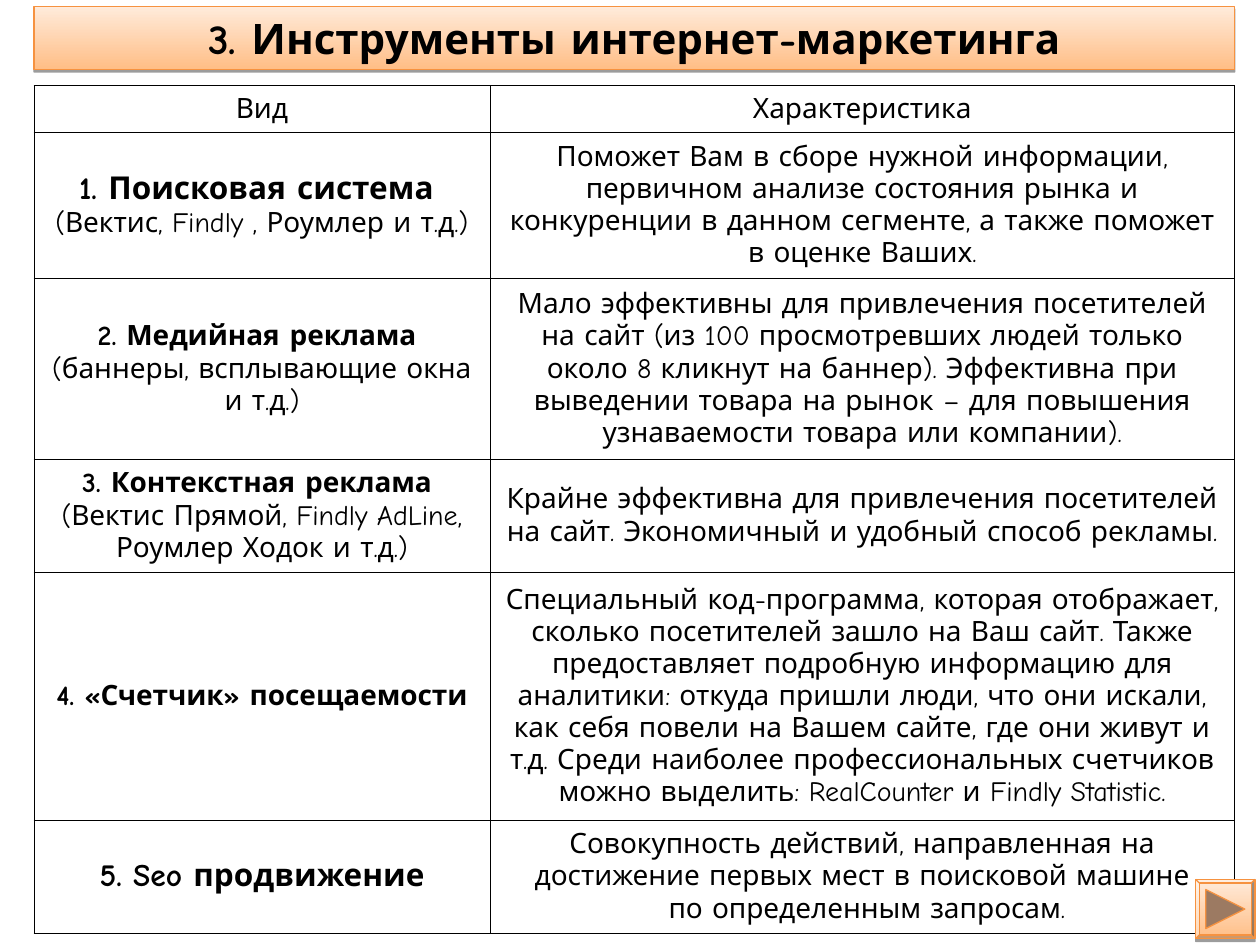
import dataclasses

import lxml.etree
import pptx
import pptx.dml.color
import pptx.enum.shapes
import pptx.enum.text
import pptx.oxml.ns
import pptx.util

SHAPE = pptx.enum.shapes.MSO_SHAPE
CENTER = pptx.enum.text.PP_ALIGN.CENTER
ANCHOR = pptx.enum.text.MSO_ANCHOR
qn = pptx.oxml.ns.qn


@dataclasses.dataclass(frozen=True)
class Theme:
    """Hold the colours, font and type sizes."""
    font: str = "Comic Neue"
    ink: str = "000000"
    deep: str = "FFBE86"
    pale: str = "FFEBDB"
    edge: str = "F69240"
    icon: str = "9C7A62"
    title: int = 24
    head: int = 18
    body: int = 16
    line: float = 0.75
    rule: float = 0.45
    drop: float = 1.6


THEME = Theme()
GRID = pptx.util.Inches(0.1)
TITLE = "3. Инструменты интернет-маркетинга"
COLS = (36.2, 59.1)
ROWS = (3.7, 11.6, 14.3, 9, 19.6, 9)
BODY, BOLD, HEAD = (THEME.body, False), (THEME.body, True), (THEME.head, True)
CELLS = (
    ([("Вид", BODY)], [("Характеристика", BODY)]),
    ([("1. Поисковая система ", HEAD),
      ("(Вектис, Findly , Роумлер и т.д.)", BODY)],
     [("Поможет Вам в сборе нужной информации, первичном анализе состояния "
       "рынка и конкуренции в данном сегменте, а также поможет в оценке "
       "Ваших.", BODY)]),
    ([("2. Медийная реклама ", BOLD),
      ("(баннеры, всплывающие окна и т.д.)", BODY)],
     [("Мало эффективны для привлечения посетителей на сайт (из 100 "
       "просмотревших людей только около 8 кликнут на баннер). Эффективна "
       "при выведении товара на рынок – для повышения узнаваемости товара "
       "или компании).", BODY)]),
    ([("3. Контекстная реклама ", BOLD),
      ("(Вектис Прямой, Findly AdLine, Роумлер Ходок и т.д.)", BODY)],
     [("Крайне эффективна для привлечения посетителей на сайт. Экономичный "
       "и удобный способ рекламы. ", BODY)]),
    ([("4. «Счетчик» посещаемости", BOLD)],
     [("Специальный код-программа, которая отображает, сколько посетителей "
       "зашло на Ваш сайт. Также предоставляет подробную информацию для "
       "аналитики: откуда пришли люди, что они искали, как себя повели на "
       "Вашем сайте, где они живут и т.д. Среди наиболее профессиональных "
       "счетчиков можно выделить: RealCounter и Findly Statistic.", BODY)]),
    ([("5. Seo продвижение", HEAD)],
     [("Совокупность действий, направленная на достижение первых мест в "
       "поисковой машине", BODY),
      (" по определенным запросам.", BODY)]),
)


def tint(code):
    """Return a colour from its hex code."""
    return pptx.dml.color.RGBColor.from_string(code)


def span(*vals):
    """Turn grid units into lengths."""
    return [round(val * GRID) for val in vals]


def write(frame, paras):
    """Fill a text frame with centred paragraphs."""
    frame.word_wrap = True
    for num, (text, (size, bold)) in enumerate(paras):
        para = frame.add_paragraph() if num else frame.paragraphs[0]
        para.text = text
        para.alignment = CENTER
        font = para.font
        font.name, font.size, font.bold = THEME.font, pptx.util.Pt(size), bold
        font.color.rgb = tint(THEME.ink)


def glow(shape):
    """Give a shape the peach gradient, edge and drop shadow."""
    shape.fill.gradient()
    shape.fill.gradient_angle = 90
    for stop, code in zip(shape.fill.gradient_stops, (THEME.deep, THEME.pale)):
        stop.color.rgb = tint(code)
    shape.line.color.rgb = tint(THEME.edge)
    shape.line.width = pptx.util.Pt(THEME.line)
    shape.shadow.inherit = False
    fx = shape._element.spPr.find(qn("a:effectLst"))
    drop = lxml.etree.SubElement(
        fx, qn("a:outerShdw"), blurRad="0",
        dist=str(pptx.util.Pt(THEME.drop)), dir="5400000", rotWithShape="0")
    hue = lxml.etree.SubElement(drop, qn("a:srgbClr"), val=THEME.ink)
    lxml.etree.SubElement(hue, qn("a:alpha"), val="38000")


def frame(cell):
    """Draw thin rules round a cell and clear its fill."""
    props = cell._tc.get_or_add_tcPr()
    for side in "LRTB":
        rule = lxml.etree.SubElement(
            props, qn("a:ln" + side), w=str(pptx.util.Pt(THEME.rule)))
        fill = lxml.etree.SubElement(rule, qn("a:solidFill"))
        lxml.etree.SubElement(fill, qn("a:srgbClr"), val=THEME.ink)
    cell.fill.background()


def banner(slide, box):
    """Place the title bar in the box."""
    bar = slide.shapes.add_shape(SHAPE.RECTANGLE, *span(*box))
    glow(bar)
    bar.text_frame.vertical_anchor = ANCHOR.TOP
    write(bar.text_frame, [(TITLE, (THEME.title, True))])


def tools(slide, box):
    """Place the table of marketing tools in the box."""
    table = slide.shapes.add_table(len(ROWS), len(COLS), *span(*box)).table
    table.first_row = table.horz_banding = False
    for col, part in zip(table.columns, COLS):
        col.width = span(box[2] * part / sum(COLS))[0]
    for row, part, texts in zip(table.rows, ROWS, CELLS):
        row.height = span(box[3] * part / sum(ROWS))[0]
        for cell, paras in zip(row.cells, texts):
            frame(cell)
            cell.vertical_anchor = ANCHOR.MIDDLE
            write(cell.text_frame, paras)


def button(slide, box):
    """Place the bevelled forward button in the box."""
    left, top, wide, high = span(*box)
    base = slide.shapes.add_shape(SHAPE.BEVEL, left, top, wide, high)
    base.adjustments[0] = 0.06
    glow(base)
    near, far = 0.17, 0.83
    pen = slide.shapes.build_freeform(
        round(left + near * wide), round(top + near * high))
    pen.add_line_segments([
        (round(left + far * wide), round(top + high / 2)),
        (round(left + near * wide), round(top + far * high))], close=True)
    mark = pen.convert_to_shape()
    mark.shadow.inherit = False
    mark.fill.solid()
    mark.fill.fore_color.rgb = tint(THEME.icon)
    mark.line.color.rgb = tint(THEME.edge)
    mark.line.width = pptx.util.Pt(THEME.line)


def main():
    """Build and save the slide."""
    deck = pptx.Presentation()
    deck.slide_width, deck.slide_height = span(100, 75)
    slide = deck.slides.add_slide(deck.slide_layouts[6])
    banner(slide, (2.7, 0.5, 95.3, 5))
    tools(slide, (2.7, 6.8, 95.3, 67.3))
    button(slide, (94.9, 69.8, 4.7, 4.7))
    deck.save("out.pptx")


if __name__ == "__main__":
    main()
